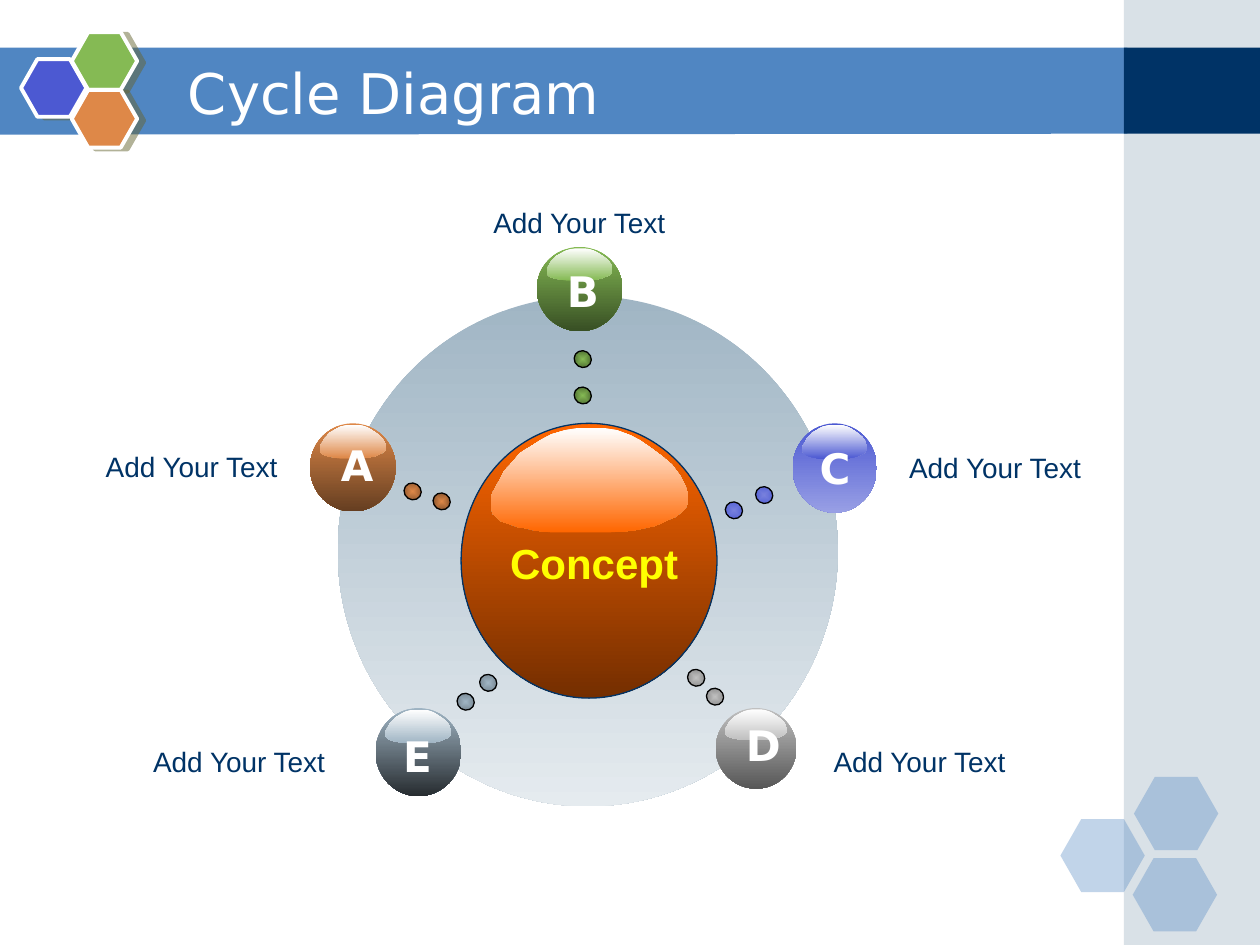
from lxml import etree
from pptx import Presentation
from pptx import util as u
from pptx.dml.color import RGBColor
from pptx.enum import shapes, text
from pptx.oxml import ns

Pt = u.Pt
OVAL = shapes.MSO_SHAPE.OVAL
RECT = shapes.MSO_SHAPE.RECTANGLE
HEXAGON = shapes.MSO_SHAPE.HEXAGON

COLORS = {
    "white": "FFFFFF", "black": "000000", "navy": "003366", "band": "5086C2",
    "yellow": "FFFF00", "mist": "A0B5C4", "pale": "E5EBEF", "shade": "666633",
    "fire": "FF6600", "ember": "742E00", "green": "85BA54", "forest": "384F24",
    "blue": "4C59D2", "lilac": "989FE5", "sky": "7881DD", "orange": "DE8848",
    "brown": "653E21", "silver": "C0C0C0", "iron": "575757", "coal": "272C30",
    "moss": "3C5526", "olive": "415A29", "slate": "6B7983", "gray": "808080",
    "rust": "804E2A", "umber": "6C4223",
}

BAND_OUTLINE = [(0, 0), (100, 0), (100, 99), (0, 100)]
GLOSS_OUTLINE = [
    (99, 56), (100, 62), (100, 72), (99, 77), (96, 82), (94, 85), (90, 88),
    (87, 91), (83, 94), (78, 96), (73, 98), (68, 99), (60, 100), (31, 100),
    (26, 99), (22, 98), (18, 96), (14, 95), (11, 93), (8, 91), (5, 89),
    (3, 85), (1, 82), (0, 73), (0, 68), (1, 62), (4, 52), (7, 41), (11, 33),
    (15, 24), (21, 17), (26, 11), (31, 6), (38, 2), (44, 0), (58, 0),
    (64, 2), (71, 7), (76, 12), (82, 20), (87, 27), (92, 35), (96, 45),
]

LETTER = {"size": Pt(24), "name": "DejaVu Sans", "bold": True}
CONCEPT = {"size": Pt(24), "name": "Arial", "bold": True}
LABEL = {"size": Pt(16), "name": "Arial", "bold": False}
TITLE = {"size": Pt(32), "name": "DejaVu Sans", "bold": False}

NODES = [
    {"letter": "B", "colors": ("green", "forest"), "ball": (264.7, 27.1, 49, 48.2),
     "letter_at": (289.9, 34.3), "label_at": (221.5, 0),
     "dots": [(286.3, 86.2, "green", "moss"), (286.3, 107, "green", "olive")]},
    {"letter": "E", "colors": ("mist", "coal"), "ball": (172.6, 290.6, 49, 50.4),
     "letter_at": (196.3, 300), "label_at": (27.1, 307.9),
     "dots": [(219.4, 282, "mist", "slate"), (232.3, 271.2, "mist", "slate")]},
    {"letter": "C", "colors": ("blue", "lilac"), "ball": (410.9, 127.9, 48.2, 51.1),
     "letter_at": (434.3, 135.1), "label_at": (459.1, 140.2),
     "dots": [(390, 163.9, "sky", "blue"), (372.7, 172.6, "sky", "blue")]},
    {"letter": "D", "colors": ("silver", "iron"), "ball": (367, 290.6, 46.1, 46.1),
     "letter_at": (392.2, 293.5), "label_at": (415.9, 307.9),
     "dots": [(361.9, 279.1, "silver", "gray"), (351.1, 268.3, "silver", "gray")]},
    {"letter": "A", "colors": ("orange", "brown"), "ball": (135.1, 127.9, 49, 50.4),
     "letter_at": (160.7, 133.7), "label_at": (0, 139.4),
     "dots": [(189.1, 161.8, "orange", "rust"), (205.7, 167.5, "orange", "umber")]},
]


def rgb(name):
    return RGBColor.from_string(COLORS[name])


def apply(obj, values):
    for key, value in values.items():
        setattr(obj, key, value)


def paint(sp, colors, line=None, width=0.75, alpha=None):
    sp.shadow.inherit = False
    if isinstance(colors, tuple):
        sp.fill.gradient()
        sp.fill.gradient_angle = 270
        for stop, color in zip(sp.fill.gradient_stops, colors):
            stop.color.rgb = rgb(color)
    else:
        sp.fill.solid()
        sp.fill.fore_color.rgb = rgb(colors)
    if alpha:
        clr = sp.element.spPr.find(".//" + ns.qn("a:srgbClr"))
        etree.SubElement(clr, ns.qn("a:alpha"), val=str(alpha * 1000))
    if line:
        sp.line.color.rgb = rgb(line)
        sp.line.width = Pt(width)
    else:
        sp.line.fill.background()


def add_preset(s, kind, box, colors, **style):
    sp = s.shapes.add_shape(kind, *map(Pt, box))
    paint(sp, colors, **style)
    return sp


def add_outline(s, box, points, colors):
    x, y, w, h = box
    spots = [(Pt(x + w * px / 100), Pt(y + h * py / 100)) for px, py in points]
    builder = s.shapes.build_freeform(*spots[0])
    builder.add_line_segments(spots[1:], close=True)
    paint(builder.convert_to_shape(), colors)


def add_text(s, box, words, font, color, wrap=False):
    tf = s.shapes.add_textbox(*map(Pt, box)).text_frame
    tf.word_wrap = wrap
    p = tf.paragraphs[0]
    p.alignment = text.PP_ALIGN.CENTER
    r = p.add_run()
    r.text = words
    apply(r.font, font)
    r.font.color.rgb = rgb(color)


def add_shadow(sp):
    effects = sp.element.spPr.find(ns.qn("a:effectLst"))
    shadow = etree.SubElement(effects, ns.qn("a:outerShdw"), blurRad="0",
                              dist=str(Pt(4.1)), dir=str(14 * 60000),
                              algn="ctr", rotWithShape="0")
    clr = etree.SubElement(shadow, ns.qn("a:srgbClr"), val=COLORS["shade"])
    etree.SubElement(clr, ns.qn("a:alpha"), val="50000")


def draw_hexagons(s, box, size, offsets, colors, shadow=False, **style):
    for (dx, dy), color in zip(offsets, colors):
        sp = add_preset(s, HEXAGON, (box[0] + dx, box[1] + dy, *size), color, **style)
        sp.adjustments[0] = 0.285
        if shadow:
            add_shadow(sp)


def draw_frame(s, box):
    x, y, w, h = box
    panel_x, panel_w = x + w - 77.8, 77.8
    add_outline(s, (x - 0.7, y + 27.2, 645, 49.7), BAND_OUTLINE, "band")
    add_preset(s, RECT, (panel_x, y, panel_w, h), "mist", alpha=40)
    add_preset(s, RECT, (panel_x, y + 27.2, panel_w, 49.2), "navy")
    draw_hexagons(s, (x + 606, y + 444), (48.2, 41.8),
                  [(0, 24), (42, 0), (41.3, 46.4)], ["band"] * 3, alpha=35)
    draw_hexagons(s, (x + 12, y + 18.4), (37.4, 33),
                  [(0, 15.4), (29, 0), (29, 33)], ["blue", "green", "orange"],
                  shadow=True, line="white", width=2.25)


def draw_title(s, box, words):
    sp = s.shapes.title
    apply(sp, dict(zip(("left", "top", "width", "height"), map(Pt, box))))
    tf = sp.text_frame
    apply(tf, {"auto_size": text.MSO_AUTO_SIZE.NONE, "word_wrap": True,
               "margin_left": Pt(17.4), "vertical_anchor": text.MSO_ANCHOR.MIDDLE})
    p = tf.paragraphs[0]
    p.alignment = text.PP_ALIGN.LEFT
    r = p.add_run()
    r.text = words
    apply(r.font, TITLE)
    r.font.color.rgb = rgb("white")


def draw_ball(s, box, colors, **style):
    x, y, w, h = box
    add_preset(s, OVAL, box, colors, **style)
    gloss = (x + 0.115 * w, y + 0.017 * h, 0.77 * w, 0.38 * h)
    add_outline(s, gloss, GLOSS_OUTLINE, ("white", colors[0]))


def draw_dot(s, box, colors):
    sp = add_preset(s, OVAL, box, colors, line="black")
    sp.rotation = 303.8
    grad = sp.element.spPr.find(ns.qn("a:gradFill"))
    grad.remove(grad.find(ns.qn("a:lin")))
    center = etree.SubElement(grad, ns.qn("a:path"), path="rect")
    etree.SubElement(center, ns.qn("a:fillToRect"),
                     **{side: "50000" for side in "ltrb"})


def draw_node(s, origin, node):
    def at(dx, dy, *size):
        return origin[0] + dx, origin[1] + dy, *size

    draw_ball(s, at(*node["ball"]), node["colors"])
    cx, top = node["letter_at"]
    add_text(s, at(cx - 15, top, 30, 36), node["letter"], LETTER, "white")
    for dx, dy, *colors in node["dots"]:
        draw_dot(s, at(dx, dy, 9.4, 10), tuple(colors))
    add_text(s, at(*node["label_at"], 135, 26.6), "Add Your Text", LABEL, "navy", True)


def draw_cycle(s, box):
    x, y = box[:2]
    add_preset(s, OVAL, (x + 151, y + 55.2, 285.8, 291.6), ("mist", "pale"))
    draw_ball(s, (x + 221.5, y + 127.9, 146.2, 157), ("fire", "ember"), line="navy")
    add_text(s, (x + 242.4, y + 189.8, 110.2, 36), "Concept", CONCEPT, "yellow")
    for node in NODES:
        draw_node(s, (x, y), node)


def main():
    prs = Presentation()
    apply(prs, {"slide_width": Pt(720), "slide_height": Pt(540)})
    s = prs.slides.add_slide(prs.slide_layouts[5])
    draw_frame(s, (0, 0, 720, 540))
    draw_title(s, (90, 30.2, 527.8, 44.6), "Cycle Diagram")
    title = s.shapes.title.element
    title.getparent().append(title)
    draw_cycle(s, (42, 114, 594, 347))
    prs.save("out.pptx")


if __name__ == "__main__":
    main()
